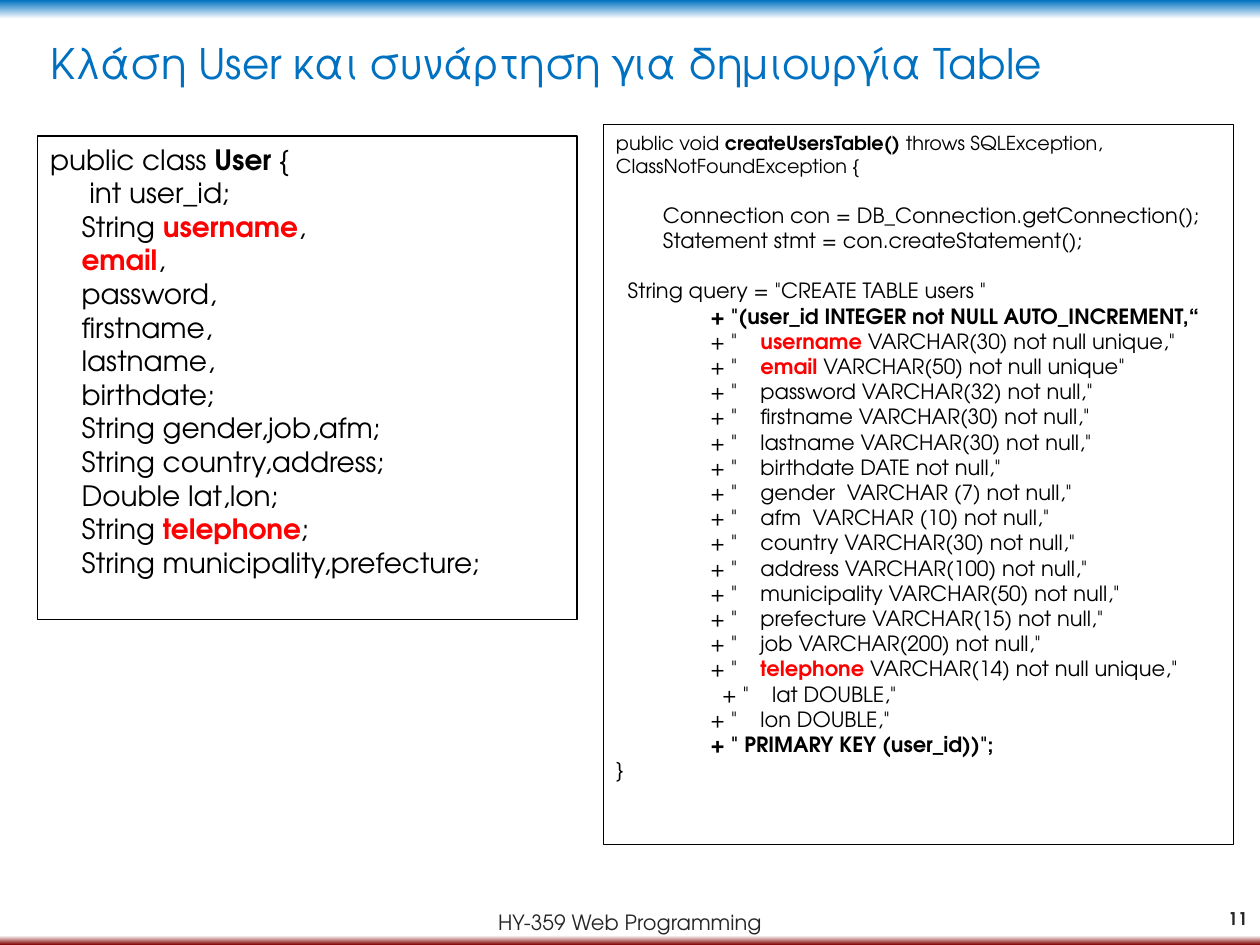
from dataclasses import dataclass
from lxml import etree
from pptx import Presentation
from pptx.dml.color import RGBColor
from pptx.enum.shapes import MSO_SHAPE
from pptx.enum.text import MSO_ANCHOR, PP_ALIGN
from pptx.oxml.ns import qn
from pptx.util import Inches, Pt

RECTANGLE = MSO_SHAPE.RECTANGLE
TOP, MIDDLE = MSO_ANCHOR.TOP, MSO_ANCHOR.MIDDLE
LEFT, CENTER, RIGHT = PP_ALIGN.LEFT, PP_ALIGN.CENTER, PP_ALIGN.RIGHT

FONT = "TeX Gyre Adventor"
BLACK, WHITE, RED, BLUE, GRAY = "000000", "FFFFFF", "FF0000", "0070C0", "262626"
BACKGROUND_STOPS = [(0, BLUE), (2, WHITE), (99, WHITE), (100, "800000")]
WIDTH, HEIGHT = 10, 7.5
CELL = 0.1  # inches in one grid column or row
SPACE_EM = 0.28  # width of a space as a share of the font size
SQL_HANG = 0.4  # inches from the plus sign to the column name
MARKED_FIELDS = {"username", "email", "telephone"}


@dataclass(frozen=True)
class Area:
    """A rectangle in grid columns and rows."""
    column: float
    row: float
    columns: float
    rows: float


@dataclass(frozen=True)
class Line:
    """One paragraph; *stars* mark bold parts, indent counts characters."""
    text: str
    size: float
    indent: int = 0
    hang: float = 0
    gap: float = 0
    color: str = BLACK
    align: PP_ALIGN = LEFT


def rgb(color: str) -> RGBColor:
    return RGBColor.from_string(color)


def paint_background(slide) -> None:
    fill = slide.background.fill
    fill.gradient()
    fill.gradient_angle = 270
    stops = slide.element.find(".//" + qn("a:gsLst"))
    for stop in list(stops):
        stops.remove(stop)
    for percent, color in BACKGROUND_STOPS:
        stop = etree.SubElement(stops, qn("a:gs"), pos=str(percent * 1000))
        etree.SubElement(stop, qn("a:srgbClr"), val=color)


def write_line(paragraph, line: Line) -> None:
    paragraph.alignment = line.align
    paragraph.space_before = Pt(line.gap)
    margin = line.indent * SPACE_EM * line.size / 72 + line.hang
    properties = paragraph._p.get_or_add_pPr()
    properties.set("marL", str(Inches(margin)))
    properties.set("indent", str(-Inches(line.hang)))
    for index, part in enumerate(line.text.split("*")):
        if not part:
            continue
        run = paragraph.add_run()
        run.text = part
        style = {"name": FONT, "size": Pt(line.size), "bold": index % 2 == 1}
        for attribute, value in style.items():
            setattr(run.font, attribute, value)
        run.font.color.rgb = rgb(RED if part in MARKED_FIELDS else line.color)


def place(shapes, area: Area):
    return [Inches(cells * CELL) for cells in (area.column, area.row, area.columns, area.rows)]


def write_lines(frame, lines: list[Line], anchor: MSO_ANCHOR = TOP) -> None:
    frame.word_wrap = True
    frame.vertical_anchor = anchor
    for index, line in enumerate(lines):
        write_line(frame.add_paragraph() if index else frame.paragraphs[0], line)


def add_text(slide, area: Area, line: Line, anchor: MSO_ANCHOR = TOP) -> None:
    box = slide.shapes.add_textbox(*place(slide.shapes, area))
    write_lines(box.text_frame, [line], anchor)


def add_panel(slide, area: Area):
    panel = slide.shapes.add_shape(RECTANGLE, *place(slide.shapes, area))
    panel.shadow.inherit = False
    return panel


def add_code(slide, area: Area, lines: list[Line]) -> None:
    panel = add_panel(slide, area)
    panel.fill.background()
    panel.line.color.rgb = rgb(BLACK)
    panel.line.width = Pt(0.75)
    write_lines(panel.text_frame, lines)


USER_FIELDS = [
    "String *username*,", "*email*,", "password,", "firstname,", "lastname,", "birthdate;",
    "String gender,job,afm;", "String country,address;", "Double lat,lon;",
    "String *telephone*;", "String municipality,prefecture;",
]
USER_CLASS = [
    Line("public class *User* {", 16),
    Line("int user_id;", 16, indent=5),
    *(Line(field, 16, indent=4) for field in USER_FIELDS),
]

TABLE_COLUMNS = [
    "*username* VARCHAR(30) not null unique,", "*email* VARCHAR(50) not null unique",
    "password VARCHAR(32) not null,", "firstname VARCHAR(30) not null,",
    "lastname VARCHAR(30) not null,", "birthdate DATE not null,",
    "gender  VARCHAR (7) not null,", "afm  VARCHAR (10) not null,",
    "country VARCHAR(30) not null,", "address VARCHAR(100) not null,",
    "municipality VARCHAR(50) not null,", "prefecture VARCHAR(15) not null,",
    "job VARCHAR(200) not null,", "*telephone* VARCHAR(14) not null unique,",
    "lat DOUBLE,", "lon DOUBLE,",
]
CREATE_TABLE = [
    Line("public void *createUsersTable() *throws SQLException, ClassNotFoundException {", 11),
    Line("Connection con = DB_Connection.getConnection();", 12, indent=8, gap=14.4),
    Line("Statement stmt = con.createStatement();", 12, indent=8),
    Line('String query = "CREATE TABLE users "', 12, indent=2, gap=14.4),
    Line('*+ "(user_id INTEGER not NULL AUTO_INCREMENT,“*', 12, indent=16),
    *(Line(f'+ "\t{column}"', 12, indent=18 if column.startswith("lat ") else 16, hang=SQL_HANG)
      for column in TABLE_COLUMNS),
    Line('*+ " PRIMARY KEY (user_id))";*', 12, indent=16),
    Line("}", 12),
]


def main() -> None:
    deck = Presentation()
    deck.slide_width, deck.slide_height = Inches(WIDTH), Inches(HEIGHT)
    slide = deck.slides.add_slide(deck.slide_layouts[6])
    paint_background(slide)

    content_area = add_panel(slide, Area(5, 3.6, 92.2, 67.6))
    content_area.fill.solid()
    content_area.fill.fore_color.rgb = rgb(WHITE)
    content_area.line.fill.background()

    add_text(slide, Area(0, 70.9, 100, 4.5),
             Line("HY-359 Web Programming", 12, color=GRAY, align=CENTER), MIDDLE)
    add_text(slide, Area(94.6, 70.9, 5.4, 4),
             Line("*11*", 10, color=GRAY, align=RIGHT), MIDDLE)
    add_text(slide, Area(3, 2.5, 94.1, 7.1),
             Line("Κλάση User και συνάρτηση για δημιουργία Table", 24, color=BLUE))
    add_code(slide, Area(3, 10.8, 42.8, 38.4), USER_CLASS)
    add_code(slide, Area(47.9, 9.9, 50, 57.1), CREATE_TABLE)
    deck.save("out.pptx")


if __name__ == "__main__":
    main()
